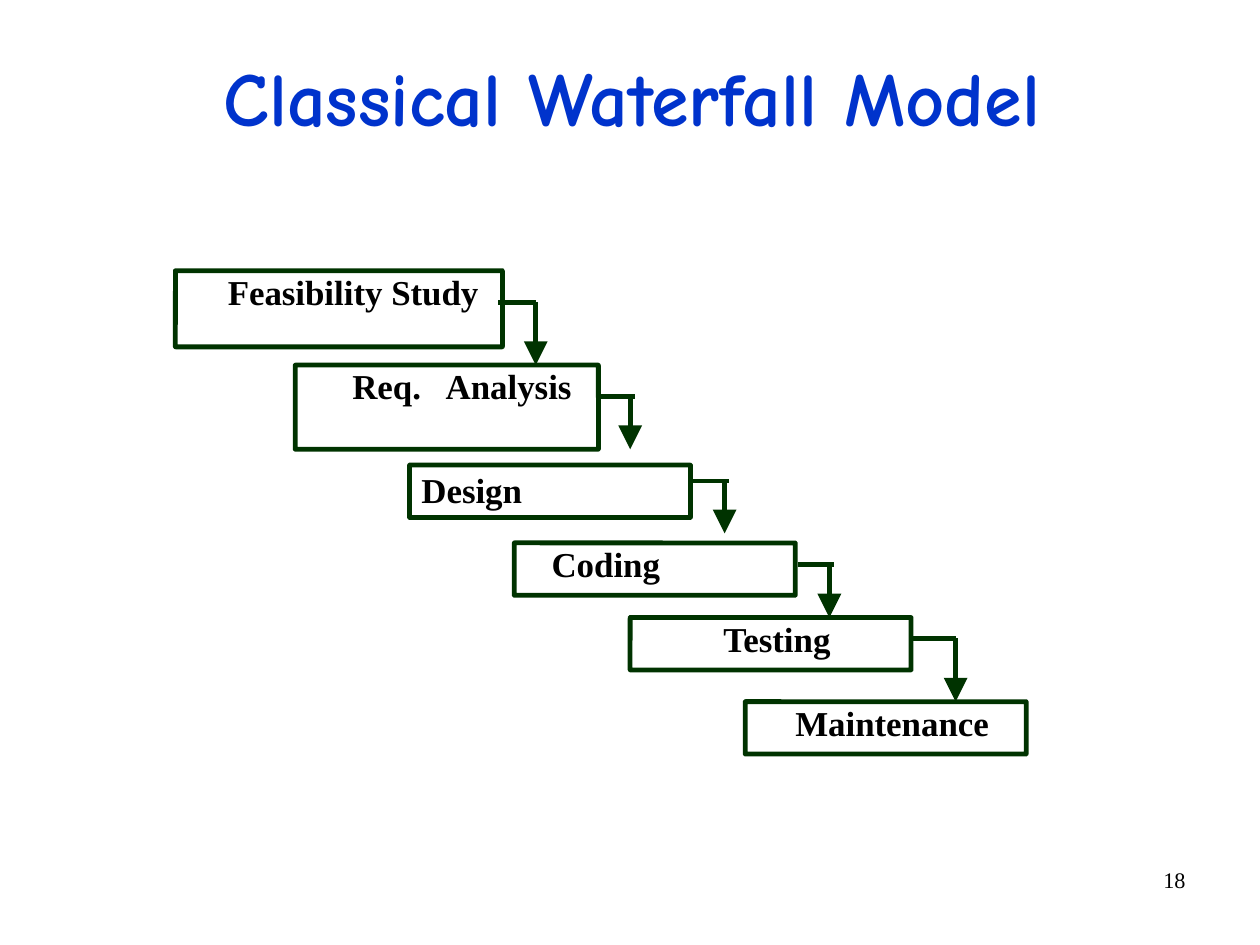
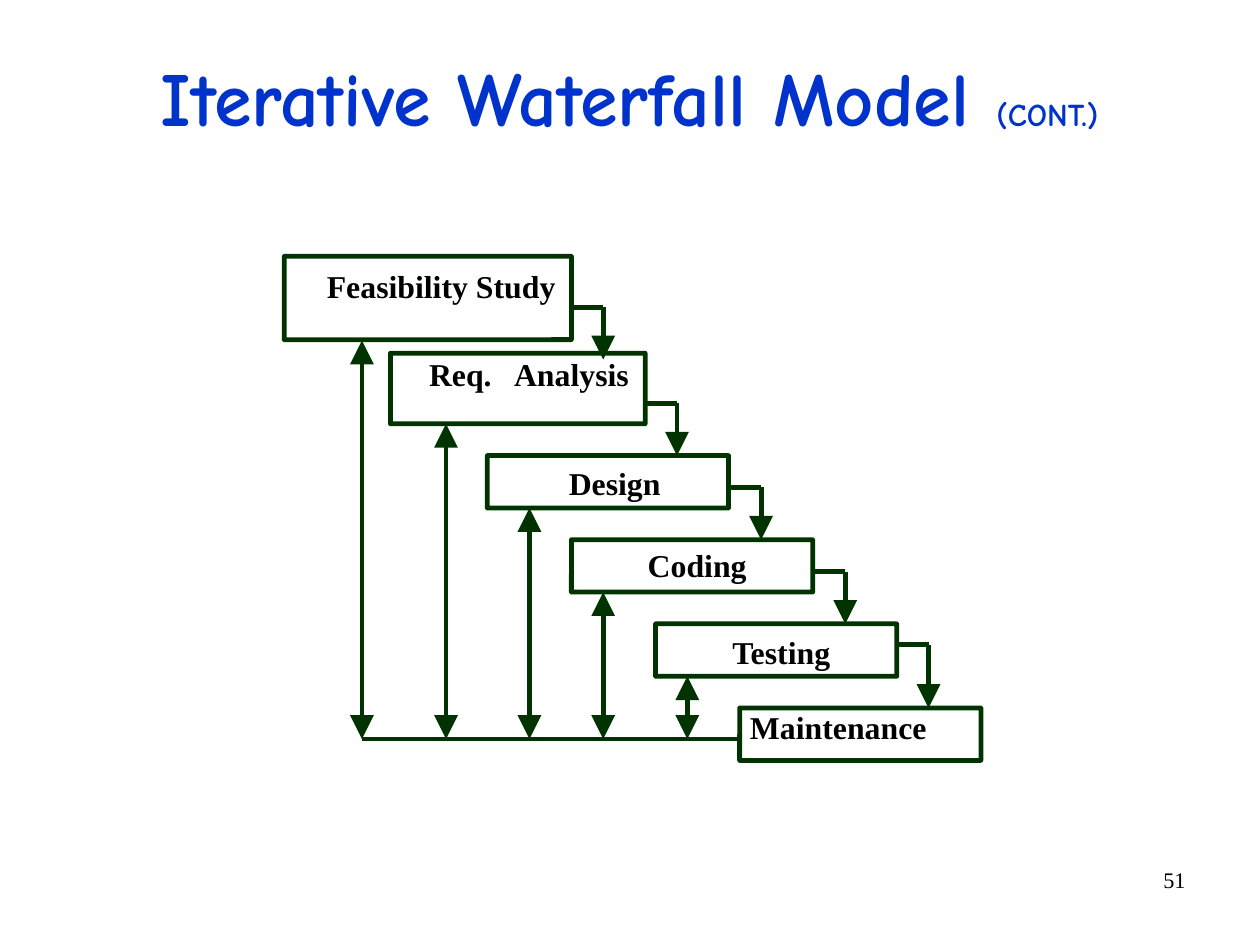
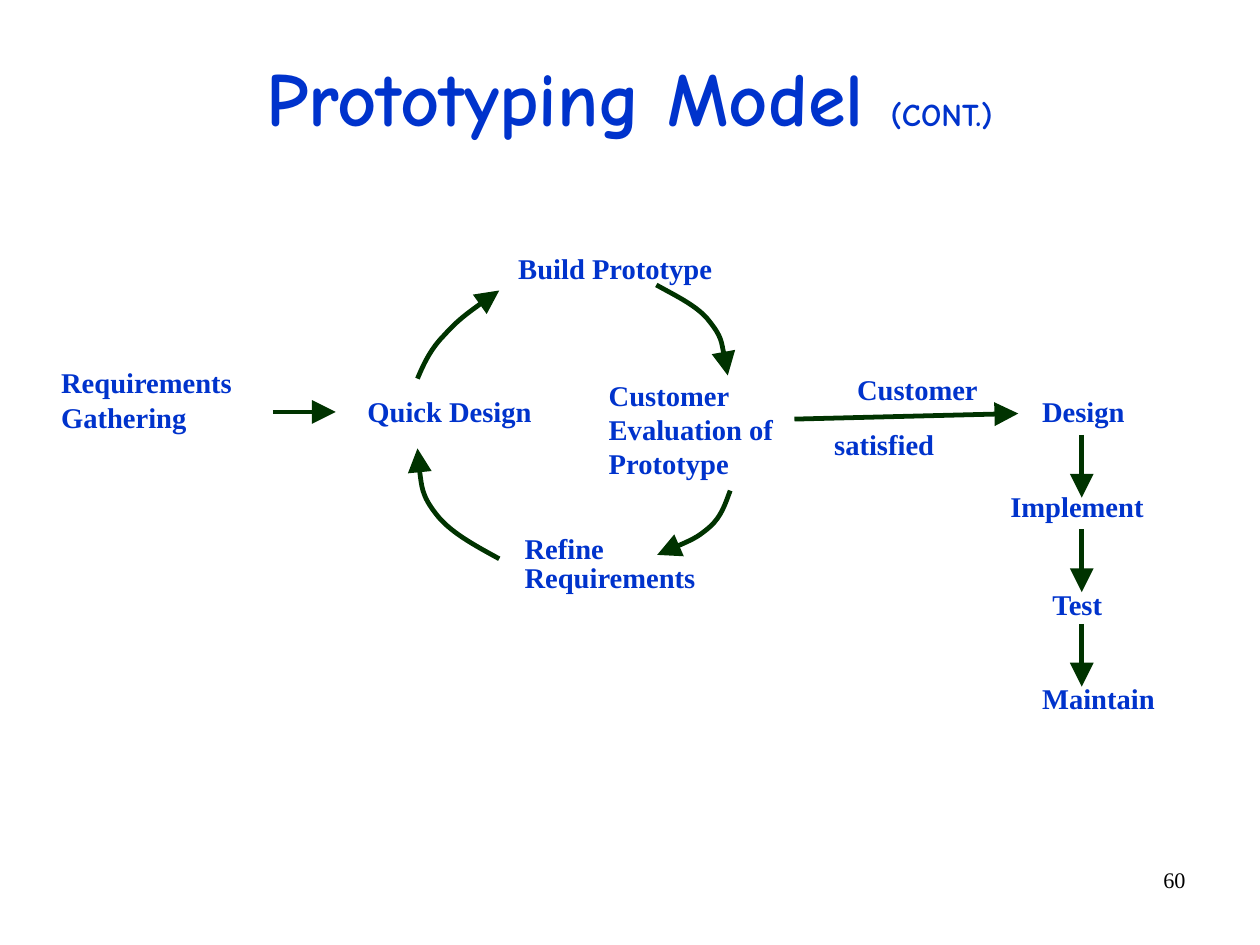
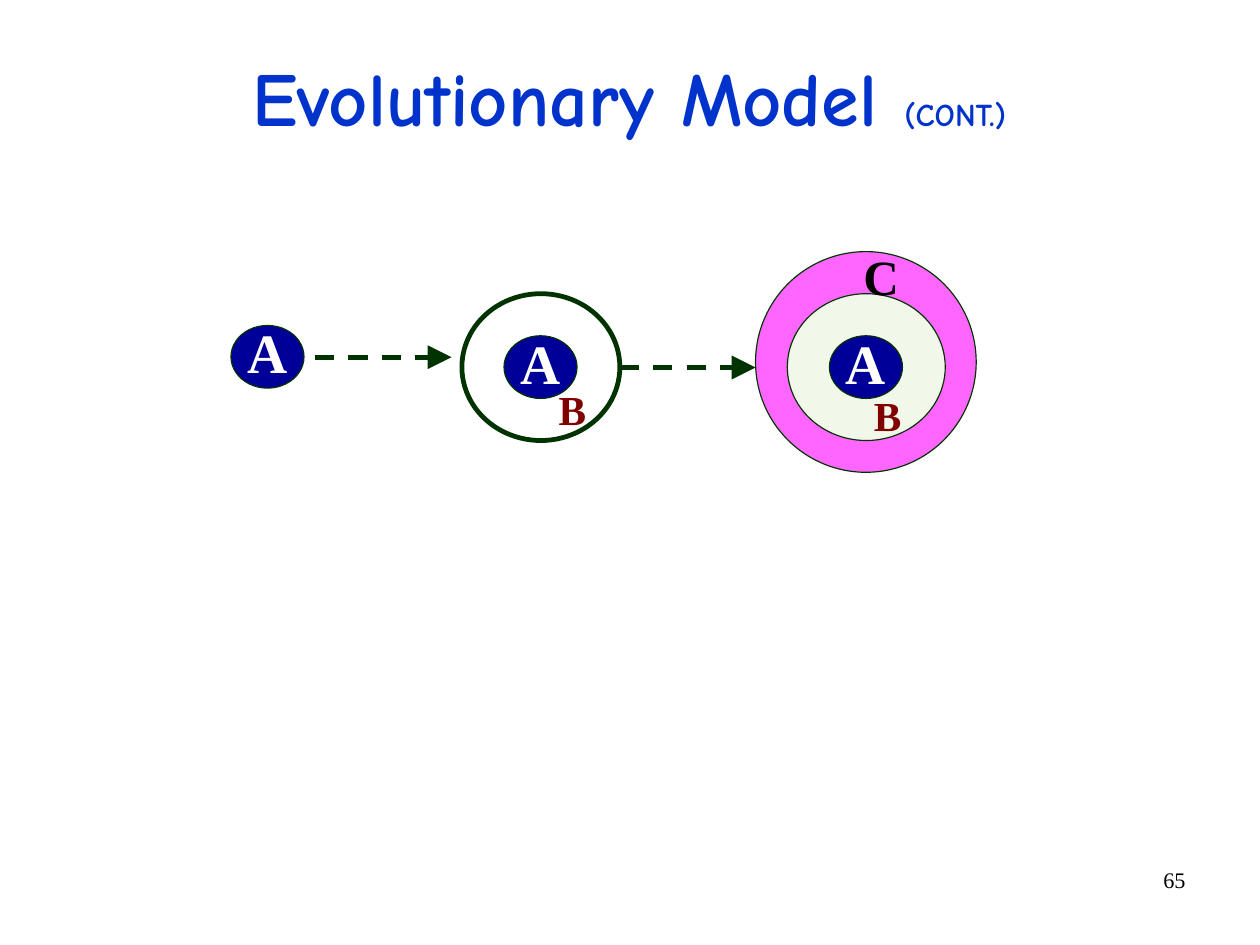
from pptx import Presentation
from pptx import util as u
from pptx.dml.color import RGBColor
from pptx.enum import dml, shapes, text
from pptx.oxml import ns, xmlchemy

COLORS = {
    "blue": "0033CC", "green": "003300", "black": "000000", "white": "FFFFFF",
    "navy": "000099", "maroon": "800000", "pink": "FF66FF", "pale": "F1F7E9",
}
TITLE_FONT = "Comic Neue"
BODY_FONT = "Times New Roman"
LEFT, CENTER, RIGHT = text.PP_ALIGN.LEFT, text.PP_ALIGN.CENTER, text.PP_ALIGN.RIGHT
THICK, THIN = 3, 0.75


def rgb(name):
    return RGBColor.from_string(COLORS[name])


class Deck:
    def __init__(self):
        self.presentation = Presentation()
        self.presentation.slide_width = u.Pt(793.75)
        self.presentation.slide_height = u.Pt(595.25)
        self.slide = None

    def start(self, number, title, suffix=None, left=58):
        self.slide = self.presentation.slides.add_slide(self.presentation.slide_layouts[5])
        shape = self.slide.shapes.title
        shape.left, shape.top = u.Pt(left), u.Pt(14)
        shape.width, shape.height = u.Pt(677), u.Pt(98.5)
        self.frame(shape, text.MSO_ANCHOR.MIDDLE)
        paragraph = self.paragraph(shape.text_frame.paragraphs[0], CENTER, 0.94)
        if suffix:
            self.run(paragraph, title + " ", 48, "blue", True, TITLE_FONT)
            self.run(paragraph, suffix, 20, "blue", True, TITLE_FONT)
        else:
            self.run(paragraph, title, 48, "blue", True, TITLE_FONT)
        footer = self.slide.shapes.add_textbox(u.Pt(569), u.Pt(542), u.Pt(185), u.Pt(41))
        footer.text_frame.word_wrap = True
        paragraph = self.paragraph(footer.text_frame.paragraphs[0], RIGHT, 1)
        self.run(paragraph, str(number), 14, "black", False)

    def frame(self, shape, anchor=text.MSO_ANCHOR.TOP, indent=0):
        frame = shape.text_frame
        frame.word_wrap = True
        frame.auto_size = text.MSO_AUTO_SIZE.NONE
        frame.vertical_anchor = anchor
        frame.margin_left, frame.margin_right = u.Pt(1.5 + indent), u.Pt(1.5)
        frame.margin_top = frame.margin_bottom = u.Pt(4)

    def paragraph(self, paragraph, align, spacing, before=0):
        paragraph.alignment = align
        paragraph.line_spacing = spacing
        paragraph.space_before = u.Pt(before)
        return paragraph

    def run(self, paragraph, words, size, color, bold=True, font=BODY_FONT, tracking=0):
        run = paragraph.add_run()
        run.text = words
        run.font.name, run.font.size, run.font.bold = font, u.Pt(size), bold
        run.font.color.rgb = rgb(color)
        if tracking:
            run.font._element.set("spc", str(round(tracking * 100)))

    def label(self, box, lines, size=18, color="blue", align=LEFT, spacing=0.85,
              indent=0, word_gap=0):
        shape = self.slide.shapes.add_textbox(*map(u.Pt, box))
        self.frame(shape, indent=indent)
        for index, line in enumerate(lines):
            target = shape.text_frame.add_paragraph() if index else shape.text_frame.paragraphs[0]
            paragraph = self.paragraph(target, align, spacing, 4 if index else 0)
            if word_gap:
                first, second = line.split(" ")
                self.run(paragraph, first, size, color)
                self.run(paragraph, " ", size, color, tracking=word_gap)
                self.run(paragraph, second, size, color)
            else:
                self.run(paragraph, line, size, color)

    def stroke(self, shape, width, head=False, tail=False):
        shape.line.color.rgb = rgb("green")
        shape.line.width = u.Pt(width)
        outline = shape.get_or_add_ln()
        for tag, wanted in (("a:headEnd", head), ("a:tailEnd", tail)):
            if wanted:
                end = xmlchemy.OxmlElement(tag)
                for key, value in (("type", "triangle"), ("w", "lg"), ("len", "lg")):
                    end.set(key, value)
                outline.append(end)

    def outline(self, kind, box, fill=None, width=THICK):
        shape = self.slide.shapes.add_shape(kind, *map(u.Pt, box))
        shape.shadow.inherit = False
        if fill:
            shape.fill.solid()
            shape.fill.fore_color.rgb = rgb(fill)
        else:
            shape.fill.background()
        self.stroke(shape, width)
        return shape

    def stage_frame(self, box):
        shape = self.outline(shapes.MSO_SHAPE.ROUNDED_RECTANGLE, box)
        shape.adjustments[0] = 0.004

    def ellipse(self, box, fill=None, width=THIN, letter=None):
        shape = self.outline(shapes.MSO_SHAPE.OVAL, box, fill, width)
        if letter:
            self.frame(shape, text.MSO_ANCHOR.MIDDLE)
            paragraph = self.paragraph(shape.text_frame.paragraphs[0], CENTER, 0.85)
            self.run(paragraph, letter, 35, "white")

    def line(self, x1, y1, x2, y2, head=False, tail=False, dashed=False):
        connector = self.slide.shapes.add_connector(
            shapes.MSO_CONNECTOR.STRAIGHT, *map(u.Pt, (x1, y1, x2, y2)))
        if dashed:
            connector.line.dash_style = dml.MSO_LINE.DASH
        self.stroke(connector, THICK, head, tail)
        connector._element.spPr.append(xmlchemy.OxmlElement("a:effectLst"))

    def step_arrow(self, x, y, drop_x, bottom, overhang=0):
        self.line(x, y, drop_x + overhang, y)
        self.line(drop_x, y, drop_x, bottom, tail=True)

    def curve_arrow(self, points):
        start, *rest = [(u.Pt(x), u.Pt(y)) for x, y in points]
        builder = self.slide.shapes.build_freeform(*start)
        builder.add_line_segments(rest, close=False)
        shape = builder.convert_to_shape()
        shape.shadow.inherit = False
        shape.fill.background()
        self.stroke(shape, THICK, tail=True)
        geometry = next(shape._element.iter(ns.qn("a:path")))
        segments = geometry.findall(ns.qn("a:lnTo"))
        for index in range(0, len(segments), 3):
            curve = xmlchemy.OxmlElement("a:cubicBezTo")
            for segment in segments[index:index + 3]:
                curve.append(segment[0])
                geometry.remove(segment)
            geometry.append(curve)

    def stages(self, size, stages):
        for words, label_box, frame_box, options in stages:
            self.label((*label_box, 34.5), [words], size, "black", **options)
            self.stage_frame(frame_box)


def classical(deck):
    deck.start(18, "Classical Waterfall Model", left=59.5)
    centered = {"align": CENTER}
    small = (177, 33)
    deck.stages(22, [
        ("Feasibility Study", (121, 170.5, 203), (110.5, 170.5, 206, 48), centered),
        ("Req. Analysis", (198.5, 230, 185), (186, 230, 191, 53),
         {"align": CENTER, "word_gap": 10}),
        ("Design", (226, 295, 185), (258, 293, *small), {"indent": 38}),
        ("Coding", (324, 342, 185), (324, 342, *small), {"indent": 22}),
        ("Testing", (397, 389, 185), (397, 389, *small), centered),
        ("Maintenance", (469.5, 442, 185), (469.5, 442, *small), centered),
    ])
    for arrow in [(314, 190.5, 337.5, 230), (377, 250, 397, 283, 3),
                  (436.5, 303, 456.5, 336, 3), (502.5, 355.5, 522.5, 389, 3),
                  (575, 402, 602, 442)]:
        deck.step_arrow(*arrow)


def iterative(deck):
    deck.start(51, "Iterative Waterfall Model", "(CONT.)")
    centered = {"align": CENTER}
    small = (152, 33)
    deck.stages(20, [
        ("Feasibility Study", (188.5, 168, 179), (179, 161.5, 181, 52.5), centered),
        ("Req. Analysis", (254, 223, 158.5), (246, 222.5, 160.5, 44.5),
         {"align": CENTER, "word_gap": 9}),
        ("Design", (308, 291.5, 158.5), (307, 287, *small), centered),
        ("Coding", (360, 343.5, 158.5), (360, 340, *small), centered),
        ("Testing", (413, 398, 158.5), (413, 393, *small), centered),
        ("Maintenance", (466, 445.5, 158.5), (466, 446, *small), {"indent": 5}),
    ])
    for x, y, bottom in [(360, 193.5, 226.5), (406.5, 254, 287), (459.5, 307, 340),
                         (512.5, 360, 393), (565, 406, 446)]:
        deck.step_arrow(x, y, x + 20, bottom)
    baseline = 465.5
    deck.line(466, baseline, 228, baseline)
    for x, top in [(228, 214.5), (281, 267), (333.5, 320), (380, 373), (433, 426)]:
        deck.line(x, baseline, x, top, head=True, tail=True)


def prototyping(deck):
    deck.start(60, "Prototyping Model", "(CONT.)")
    deck.label((37, 229, 151, 74), ["Requirements", "Gathering"])
    deck.label((382, 234, 138, 59), ["Customer Evaluation of Prototype"], spacing=1)
    for words, box in [
        ("Quick Design", (230, 247.5, 119, 29)),
        ("Refine Requirements", (329, 333.5, 139, 50.5)),
        ("Build Prototype", (325, 157.5, 132.5, 50.5)),
        ("Design", (655, 247.5, 99.5, 29)),
        ("Implement", (635, 307, 119, 29)),
        ("Test", (661.5, 369, 99.5, 29)),
        ("Maintain", (655, 428.5, 99.5, 29)),
        ("Customer", (538.5, 233.5, 96.5, 26.5)),
        ("satisfied", (524, 268, 118, 26.5)),
    ]:
        deck.label(box, [words])
    for points in [
        [(263, 238.5), (267, 229), (271.5, 219.5), (280, 211),
         (288.5, 201.5), (301.5, 192), (314.5, 183)],
        [(413.5, 179.5), (426, 186.5), (440, 193), (447, 202.5),
         (455, 212.5), (456.5, 224.5), (458.5, 236.5)],
        [(460, 309), (457, 317), (454.5, 325.5), (447, 332),
         (439, 339), (427, 344), (414, 349.5)],
        [(314.5, 352), (299, 343.5), (283, 335), (274.5, 323.5),
         (265.5, 312), (264, 297.5), (263, 282.5)],
    ]:
        deck.curve_arrow(points)
    deck.line(172, 259.5, 211.5, 259.5, tail=True)
    deck.line(500.5, 264, 641.5, 260.5, tail=True)
    for index in range(3):
        top = 274 + index * 59.5
        deck.line(681.5, top, 681.5, top + 39.5, tail=True)


def evolutionary(deck):
    deck.start(65, "Evolutionary Model", "(CONT.)")
    deck.ellipse((476, 158.5, 139, 139), "pink")
    deck.ellipse((496, 185, 99.5, 92.5), "pale")
    deck.ellipse((291, 185, 99.5, 92.5), width=THICK)
    for x1, x2, y in [(198.5, 284.5, 225), (390.5, 476, 231.5)]:
        deck.line(x1, y, x2, y, tail=True, dashed=True)
    for left, top in [(145.5, 205), (317.5, 211.5), (522.5, 211.5)]:
        deck.ellipse((left, top, 46, 39.5), "navy", letter="A")
    for letter, left, top, size, color in [
        ("B", 350.5, 242.5, 26, "maroon"), ("C", 542.5, 157, 31, "black"),
        ("B", 549, 246.5, 26, "maroon"),
    ]:
        deck.label((left, top, 33, 40), [letter], size, color)


def main():
    deck = Deck()
    for build in (classical, iterative, prototyping, evolutionary):
        build(deck)
    deck.presentation.save("out.pptx")


if __name__ == "__main__":
    main()
